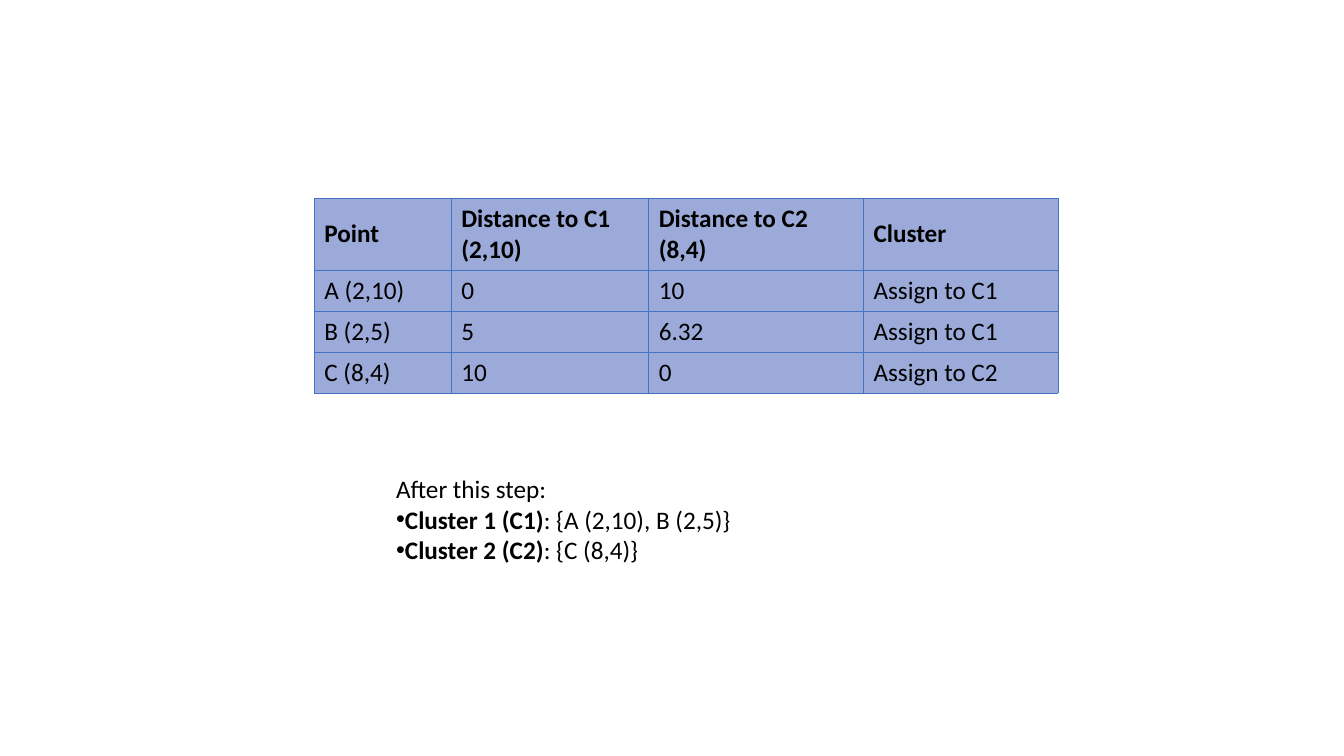
"""Build a slide with one k-means assignment table and the resulting clusters."""
import dataclasses

import lxml.etree
import pptx
import pptx.dml.color
import pptx.enum.text
import pptx.oxml.ns
import pptx.util

Cm = pptx.util.Cm
Pt = pptx.util.Pt
RGB = pptx.dml.color.RGBColor.from_string
qn = pptx.oxml.ns.qn


@dataclasses.dataclass(frozen=True)
class Theme:
    font: str = "Calibri"
    size: int = 18
    text: str = "000000"
    cell: str = "9BAAD9"
    border: str = "4472C4"
    border_width: float = 0.5


theme = Theme()


def style_run(r, bold=False):
    r.font.name = theme.font
    r.font.size = Pt(theme.size)
    r.font.bold = bold
    r.font.color.rgb = RGB(theme.text)


def style_cell(cell):
    tcPr = cell._tc.get_or_add_tcPr()
    for side in ("lnL", "lnR", "lnT", "lnB"):
        ln = lxml.etree.SubElement(tcPr, qn(f"a:{side}"), w=str(Pt(theme.border_width)))
        fill = lxml.etree.SubElement(ln, qn("a:solidFill"))
        lxml.etree.SubElement(fill, qn("a:srgbClr"), val=theme.border)
    cell.fill.solid()
    cell.fill.fore_color.rgb = RGB(theme.cell)
    cell.vertical_anchor = pptx.enum.text.MSO_ANCHOR.MIDDLE


prs = pptx.Presentation()
prs.slide_width, prs.slide_height = Cm(33.87), Cm(19.05)
s = prs.slides.add_slide(prs.slide_layouts[1])
title = s.shapes.title
title.element.getparent().remove(title.element)

rows = [
    ("Point", "Distance to C1 (2,10)", "Distance to C2 (8,4)", "Cluster"),
    ("A (2,10)", "0", "10", "Assign to C1"),
    ("B (2,5)", "5", "6.32", "Assign to C1"),
    ("C (8,4)", "10", "0", "Assign to C2"),
]
widths = (3.45, 4.98, 5.41, 4.9)
heights = (1.81, 1.03, 1.03, 1.03)
table = s.shapes.add_table(
    len(rows), len(widths), Cm(7.92), Cm(5), Cm(sum(widths)), Cm(sum(heights))
).table
for column, width in zip(table.columns, widths):
    column.width = Cm(width)
for i, (row, height) in enumerate(zip(rows, heights)):
    table.rows[i].height = Cm(height)
    for j, text in enumerate(row):
        cell = table.cell(i, j)
        cell.text_frame.text = text
        style_cell(cell)
        style_run(cell.text_frame.paragraphs[0].runs[0], bold=i == 0)

body = s.placeholders[1]
body.left, body.top, body.width, body.height = Cm(9.73), Cm(11.81), Cm(16.94), Cm(2.57)
tf = body.text_frame
tf.word_wrap = True
tf.auto_size = pptx.enum.text.MSO_AUTO_SIZE.SHAPE_TO_FIT_TEXT
clusters = [
    ("", "After this step:"),
    ("Cluster 1 (C1)", ": {A (2,10), B (2,5)}"),
    ("Cluster 2 (C2)", ": {C (8,4)}"),
]
for i, (label, members) in enumerate(clusters):
    p = tf.paragraphs[0] if i == 0 else tf.add_paragraph()
    p.space_before = Pt(0)
    pPr = p._p.get_or_add_pPr()
    pPr.set("marL", "0")
    pPr.set("indent", "0")
    if label:
        lxml.etree.SubElement(pPr, qn("a:buChar"), char="•")
        r = p.add_run()
        r.text = label
        style_run(r, bold=True)
    else:
        lxml.etree.SubElement(pPr, qn("a:buNone"))
    r = p.add_run()
    r.text = members
    style_run(r)

prs.save("out.pptx")
